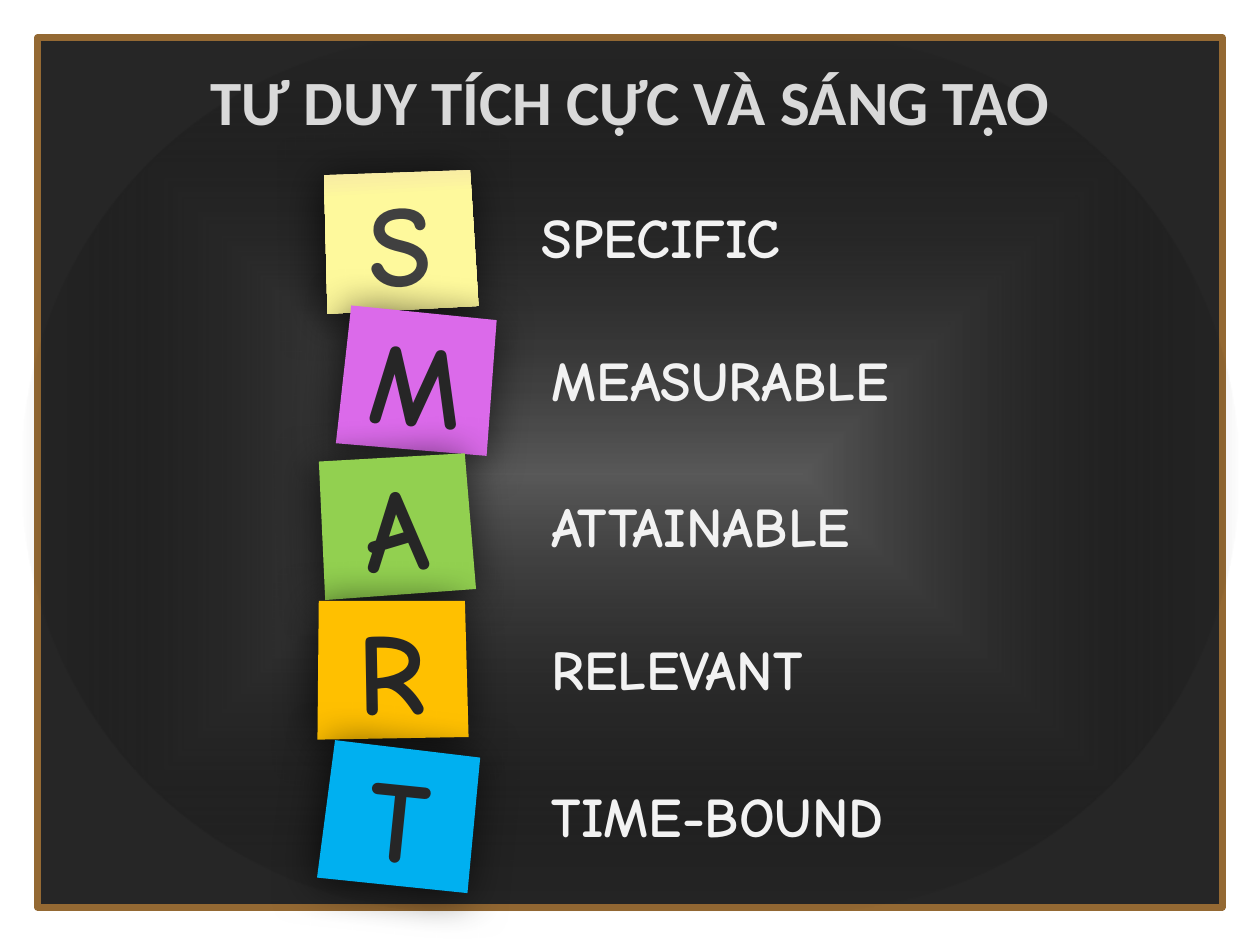
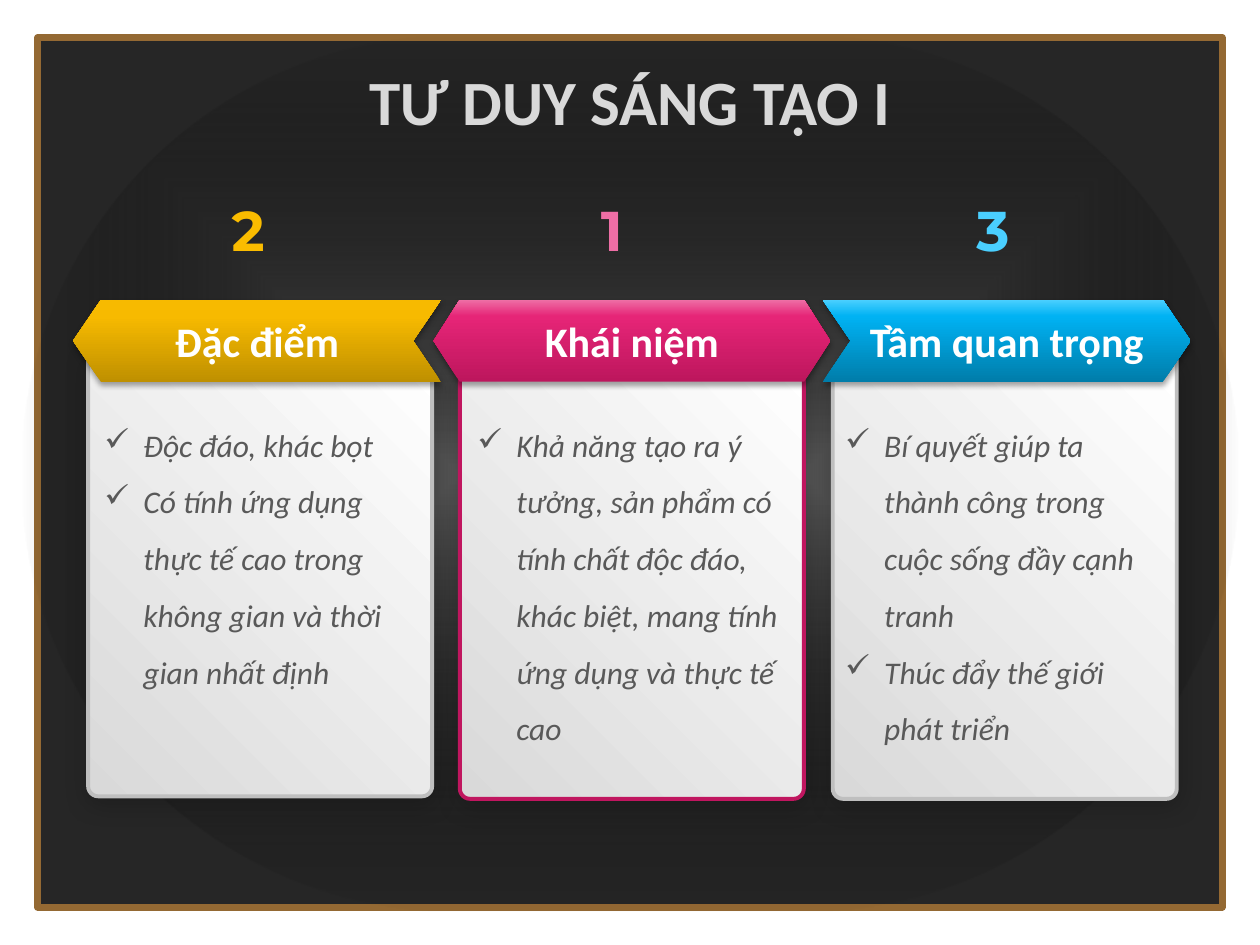
import math

import lxml.etree
import pptx
import pptx.dml.color
import pptx.enum.shapes
import pptx.enum.text
import pptx.oxml.ns
import pptx.util

Inches = pptx.util.Inches
qn = pptx.oxml.ns.qn
PRESETS = pptx.enum.shapes.MSO_SHAPE
CENTER = pptx.enum.text.PP_ALIGN.CENTER
MIDDLE = pptx.enum.text.MSO_ANCHOR.MIDDLE

# Content of the SMART slide: letter, word, note colours, note place, tilt, word place
SMART_TITLE = "TƯ DUY TÍCH CỰC VÀ SÁNG TẠO"
YELLOW_FADE = [(0, "F6E7A6"), (21, "FEF99C"), (100, "FEF99C")]
SMART_GOALS = [
    ("S", "SPECIFIC", YELLOW_FADE, "404040", (2.57, 1.36), -3, (4.2, 1.56)),
    ("M", "MEASURABLE", "DB6AEA", "262626", (2.71, 2.47), 4.8, (4.28, 2.69)),
    ("A", "ATTAINABLE", "92D050", "262626", (2.54, 3.62), -4.2, (4.28, 3.85)),
    ("R", "RELEVANT", "FFC000", "262626", (2.51, 4.76), -1, (4.28, 4.99)),
    ("T", "TIME-BOUND", "00B0F0", "262626", (2.57, 5.93), 5.9, (4.28, 6.15)),
]

# Content of the creative thinking slide
THINKING_TITLE = "TƯ DUY SÁNG TẠO I"
TOPICS = [
    {
        "number": "2", "number_left": 1.74, "heading": "Đặc điểm",
        "points": ["Độc đáo, khác bọt",
                   "Có tính ứng dụng thực tế cao trong không gian và thời gian nhất định"],
        "points_left": 0.73,
        "shades": ("BF9000", "F7BA00", "FABC00"),
        "band": (PRESETS.CHEVRON, 0.58, 2.92, 0.34), "flipped": True,
        "card": (0.7, 2.84), "edge": "BFBFBF",
    },
    {
        "number": "1", "number_left": 4.67, "heading": "Khái niệm",
        "points": ["Khả năng tạo ra ý tưởng, sản phẩm có tính chất độc đáo, "
                   "khác biệt, mang tính ứng dụng và thực tế cao"],
        "points_left": 3.69,
        "shades": ("BD165D", "E62577", "EE6EA5"),
        "band": (PRESETS.HEXAGON, 3.44, 3.15, 0.32), "flipped": False,
        "card": (3.65, 2.86), "edge": "C0165F",
    },
    {
        "number": "3", "number_left": 7.65, "heading": "Tầm quan trọng",
        "points": ["Bí quyết giúp ta thành công trong cuộc sống đầy cạnh tranh",
                   "Thúc đẩy thế giới phát triển"],
        "points_left": 6.61,
        "shades": ("007DAA", "00B2F3", "4ACFFF"),
        "band": (PRESETS.CHEVRON, 6.53, 2.92, 0.34), "flipped": False,
        "card": (6.61, 2.86), "edge": "BFBFBF",
    },
]

# Shared formats; sizes are in points
TITLE = {"name": "Calibri", "size": 36, "bold": True, "color": "D9D9D9"}
WORD = {"name": "Comic Neue", "size": 32, "bold": True, "color": "F2F2F2"}
LETTER = {"name": "Comic Neue", "size": 66, "bold": True}
NUMBER = {"name": "Montserrat", "size": 32, "bold": True}
HEADING = {"name": "Calibri", "size": 24, "bold": True, "color": "FFFFFF"}
POINT = {"name": "Calibri", "size": 18, "italic": True, "color": "595959"}

# Shadows: opacity in percent, blur and distance in points, direction in degrees
NOTE_SHADOW = (70, 25, 3, 135)
CARD_SHADOW = (20, 14, 3, 90)
BAND_SHADOW = (35, 3.1, 1.8, 90)

NOTE_OUTLINE = [(0.03, 0), (1.19, 0.02), (1.2, 1.1), (0, 1.1)]
NOTE_MARGIN = 0.05
CARD_WIDTH, CARD_HEIGHT, CARD_SLANT, CARD_RADIUS = 2.73, 3.48, 0.11, 0.08
CARD_FADE = [(0, "D9D9D9"), (100, "FFFFFF")]
BAND_TOP, BAND_HEIGHT = 2.38, 0.65


def rgb(hex_color):
    return pptx.dml.color.RGBColor.from_string(hex_color)


def add_xml(parent, tag, **attributes):
    child = lxml.etree.SubElement(parent, qn(tag))
    for key, value in attributes.items():
        child.set(key, str(value))
    return child


def add_xml_color(parent, hex_color, opacity=100):
    color = add_xml(parent, "a:srgbClr", val=hex_color)
    if opacity < 100:
        add_xml(color, "a:alpha", val=opacity * 1000)


def fade(shape, stops, angle=None):
    """Fill with stops (percent, colour[, opacity]); without an angle, from the centre out."""
    shape.fill.gradient()
    gradient = shape.element.spPr.find(qn("a:gradFill"))
    gradient.clear()
    gradient.set("rotWithShape", "1")
    stop_list = add_xml(gradient, "a:gsLst")
    for percent, *color in stops:
        add_xml_color(add_xml(stop_list, "a:gs", pos=percent * 1000), *color)
    if angle is None:
        centre = add_xml(gradient, "a:path", path="shape")
        add_xml(centre, "a:fillToRect", l=50000, t=50000, r=50000, b=50000)
    else:
        add_xml(gradient, "a:lin", ang=angle * 60000, scaled=0)


def dress(shape, fill, angle=None, edge=None, edge_width=0, shadow=None):
    """Give a shape its fill (colour or stops), its edge and its shadow."""
    if isinstance(fill, str):
        shape.fill.solid()
        shape.fill.fore_color.rgb = rgb(fill)
    else:
        fade(shape, fill, angle)
    if edge:
        shape.line.color.rgb = rgb(edge)
        shape.line.width = pptx.util.Pt(edge_width)
    else:
        shape.line.fill.background()
    shape.shadow.inherit = False
    if shadow:
        opacity, blur, distance, direction = shadow
        effects = shape.element.spPr.find(qn("a:effectLst"))
        outer = add_xml(effects, "a:outerShdw", blurRad=pptx.util.Pt(blur),
                        dist=pptx.util.Pt(distance), dir=direction * 60000,
                        algn="ctr", rotWithShape=0)
        add_xml_color(outer, "000000", opacity)


def write(frame, lines, style, align=None, bulleted=False):
    for index, line in enumerate(lines):
        paragraph = frame.add_paragraph() if index else frame.paragraphs[0]
        paragraph.alignment = align
        run = paragraph.add_run()
        run.text = line
        for key, value in style.items():
            if key == "color":
                run.font.color.rgb = rgb(value)
            else:
                setattr(run.font, key, pptx.util.Pt(value) if key == "size" else value)
        if bulleted:
            paragraph.line_spacing = 1.5
            properties = paragraph._p.get_or_add_pPr()
            properties.set("marL", str(Inches(0.31)))
            properties.set("indent", str(Inches(-0.31)))
            add_xml(properties, "a:buChar", char="✓")


def add_text(slide, box, lines, style, wrap=True, anchor=None, **layout):
    frame = slide.shapes.add_textbox(*map(Inches, box)).text_frame
    frame.word_wrap = wrap
    frame.vertical_anchor = anchor
    write(frame, lines, style, **layout)


def add_outline(slide, points, left, top):
    """Add a closed outline whose points are inches from left and top."""
    start, *others = [tuple(map(Inches, point)) for point in points]
    builder = slide.shapes.build_freeform(*start)
    builder.add_line_segments(others, close=True)
    return builder.convert_to_shape(Inches(left), Inches(top))


def put_chalkboard_on_layout(layout, slide):
    """Draw the board on a slide, then move it to the layout all slides share."""
    board = slide.shapes.add_shape(PRESETS.RECTANGLE, *map(Inches, (0.3, 0.3, 9.4, 6.9)))
    dress(board, "262626", edge="946933", edge_width=4)
    glow = slide.shapes.add_shape(PRESETS.ROUNDED_RECTANGLE,
                                  *map(Inches, (0.17, 0.28, 9.67, 6.95)))
    glow.adjustments[0] = 0.5
    dress(glow, [(0, "595959"), (100, "000000", 0)])
    for part in (board, glow):
        layout.shapes.element.append(part.element)


def add_title(slide, title):
    add_text(slide, (0.5, 0.44, 9, 0.71), [title], TITLE, anchor=MIDDLE, align=CENTER)


def add_note(slide, letter, fill, ink, place, tilt):
    note = add_outline(slide, NOTE_OUTLINE, *place)
    note.rotation = tilt
    dress(note, fill, angle=90, shadow=NOTE_SHADOW)
    frame = note.text_frame
    frame.vertical_anchor = MIDDLE
    for side in ("left", "top", "right", "bottom"):
        setattr(frame, f"margin_{side}", Inches(NOTE_MARGIN))
    write(frame, [letter], {**LETTER, "color": ink}, CENTER)


def card_outline(slants_right):
    """Slanted top, rounded bottom corners."""
    left_top, right_top = (0, CARD_SLANT) if slants_right else (CARD_SLANT, 0)
    points = [(0, left_top), (CARD_WIDTH, right_top)]
    corners = [(CARD_WIDTH - CARD_RADIUS, 0), (CARD_RADIUS, 90)]
    for centre_x, first_angle in corners:
        for step in range(7):
            angle = math.radians(first_angle + 15 * step)
            points.append((centre_x + CARD_RADIUS * math.cos(angle),
                           CARD_HEIGHT - CARD_RADIUS + CARD_RADIUS * math.sin(angle)))
    return points


def add_topic(slide, topic):
    shades = topic["shades"]
    add_text(slide, (topic["number_left"], 1.5, 0.52, 0.65), [topic["number"]],
             {**NUMBER, "color": shades[-1]}, wrap=False)

    card = add_outline(slide, card_outline(topic["flipped"]), *topic["card"])
    dress(card, CARD_FADE, angle=315, edge=topic["edge"], edge_width=2.25,
          shadow=CARD_SHADOW)

    preset, left, width, point_depth = topic["band"]
    band = slide.shapes.add_shape(
        preset, *map(Inches, (left, BAND_TOP, width, BAND_HEIGHT)))
    band.adjustments[0] = point_depth
    if topic["flipped"]:
        band.element.spPr.xfrm.set("flipH", "1")
    dress(band, list(zip((0, 80, 100), shades)), angle=270, shadow=BAND_SHADOW)
    band.text_frame.vertical_anchor = MIDDLE
    write(band.text_frame, [topic["heading"]], HEADING, CENTER)

    add_text(slide, (topic["points_left"], 3.18, 2.67, 2.83), topic["points"],
             POINT, bulleted=True)


def main():
    deck = pptx.Presentation()
    deck.slide_width, deck.slide_height = Inches(10), Inches(7.5)
    blank = deck.slide_layouts[6]
    smart, thinking = (deck.slides.add_slide(blank) for _ in range(2))
    put_chalkboard_on_layout(blank, smart)

    add_title(smart, SMART_TITLE)
    for letter, word, fill, ink, place, tilt, word_place in SMART_GOALS:
        add_text(smart, (*word_place, 3.28, 0.64), [word], WORD)
        add_note(smart, letter, fill, ink, place, tilt)

    add_title(thinking, THINKING_TITLE)
    for topic in TOPICS:
        add_topic(thinking, topic)

    deck.save("out.pptx")


if __name__ == "__main__":
    main()
